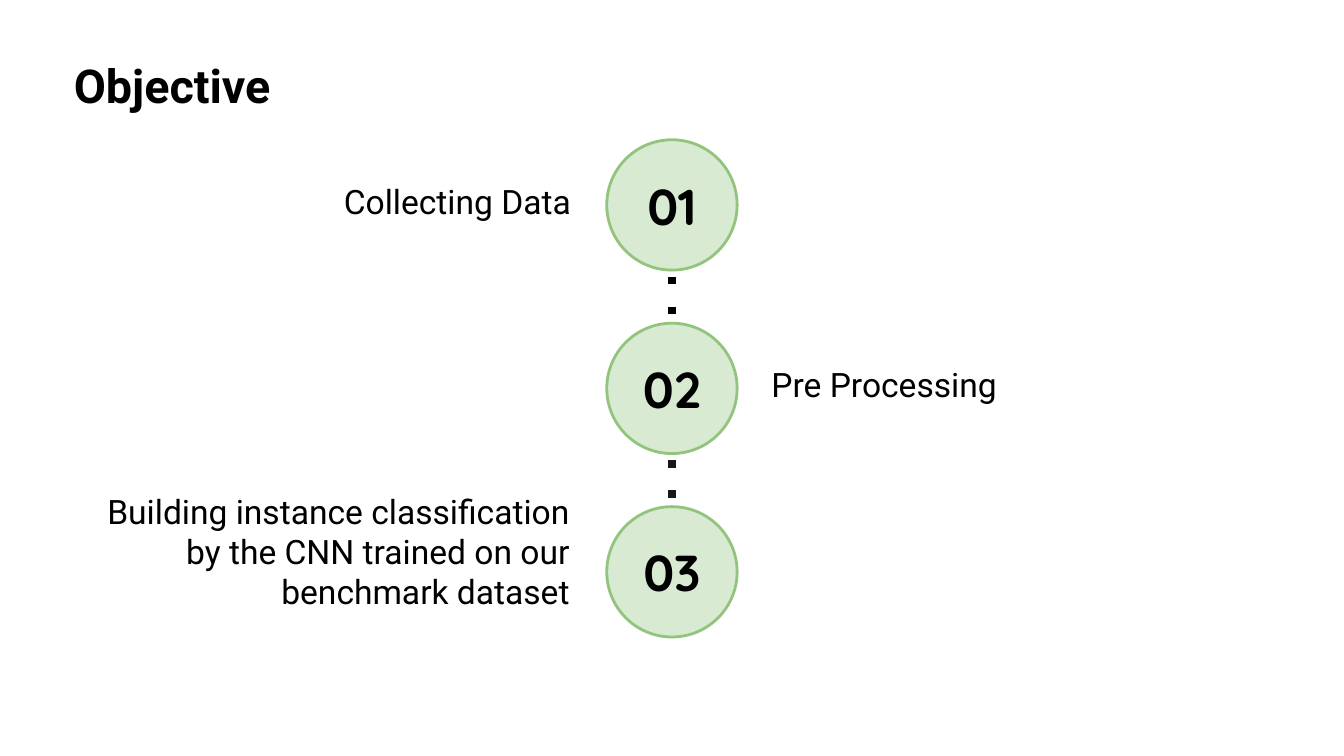
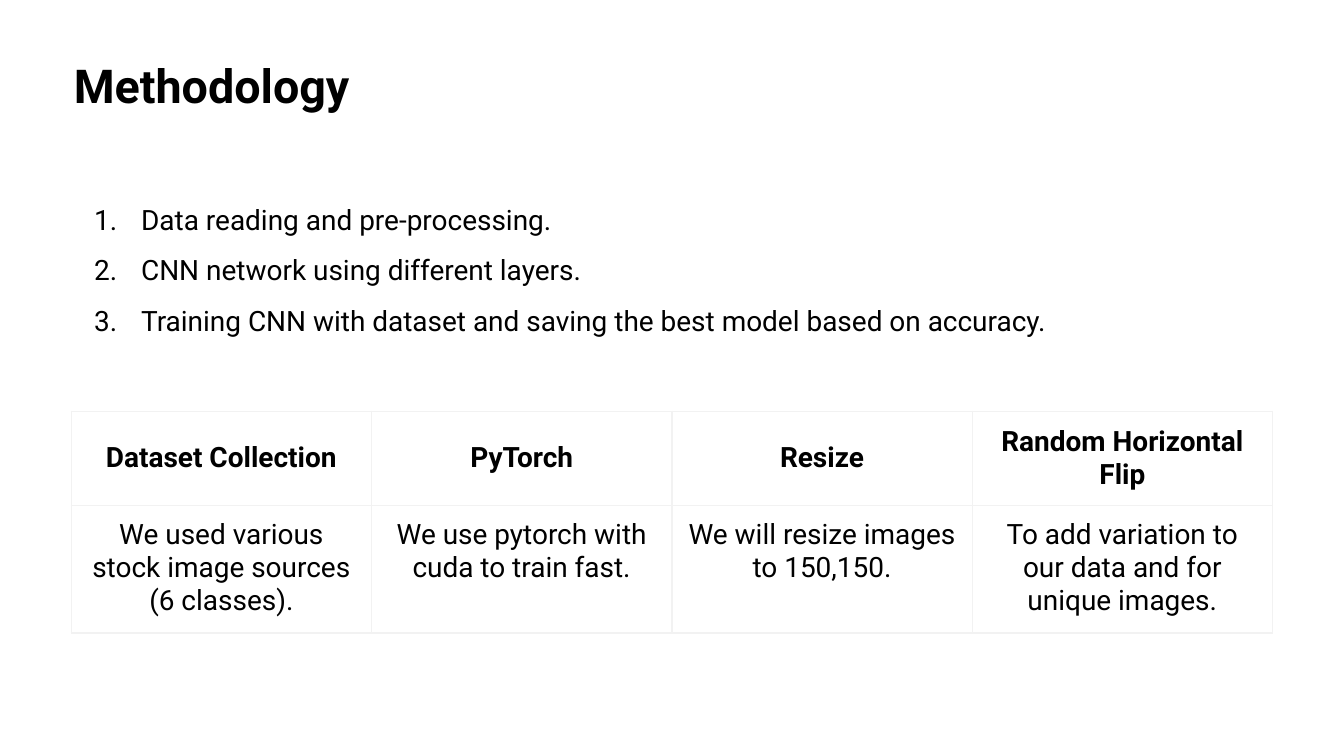
from dataclasses import dataclass

from lxml import etree
from pptx import Presentation
from pptx import util as u
from pptx.dml.color import RGBColor
from pptx.enum import dml, shapes, text
from pptx.oxml import ns


@dataclass(frozen=True)
class Theme:
    ink: str = "000000"
    soft_ink: str = "181818"
    circle_fill: str = "D9EAD3"
    circle_line: str = "93C47D"
    grid: str = "F2F2F2"
    body_font: str = "Roboto"
    number_font: str = "Quicksand"
    title_size: float = 25
    number_size: float = 27
    label_size: float = 18
    body_size: float = 15


THEME = Theme()
ALIGN = text.PP_ALIGN
ANCHOR = text.MSO_ANCHOR
SLIDE_WIDTH = 10
SLIDE_HEIGHT = SLIDE_WIDTH * 9 / 16

OBJECTIVES = [
    ("01", "Collecting Data", (2.16, 1.31, 2.16, 0.38), ALIGN.RIGHT),
    ("02", "Pre Processing", (5.67, 2.67, 2.16, 0.38), ALIGN.LEFT),
    ("03", "Building instance classification by the CNN trained on our benchmark dataset",
     (0.48, 3.61, 3.83, 1.29), ALIGN.RIGHT),
]
LINK_COLOURS = [THEME.ink, THEME.soft_ink]
STAGES = [
    "Data reading and pre-processing.",
    "CNN network using different layers.",
    "Training CNN with dataset and saving the best model based on accuracy.",
]
TECHNIQUES = [
    ("Dataset Collection", "We used various stock image sources (6 classes)."),
    ("PyTorch", "We use pytorch with cuda to train fast."),
    ("Resize", "We will resize images to 150,150."),
    ("Random Horizontal Flip", "To add variation to our data and for unique images."),
]


def colour(value):
    return RGBColor.from_string(value)


def inches(box):
    return [u.Inches(value) for value in box]


def add_child(parent, tag, **attributes):
    return etree.SubElement(parent, ns.qn(tag), attributes)


def write(frame, content, size, align=ALIGN.LEFT, bold=False, font=THEME.body_font):
    frame.text = content
    for paragraph in frame.paragraphs:
        paragraph.alignment = align
        for run in paragraph.runs:
            run.font.name = font
            run.font.size = u.Pt(size)
            run.font.bold = bold
            run.font.color.rgb = colour(THEME.ink)


def set_margins(frame, horizontal, vertical):
    frame.margin_left = frame.margin_right = u.Inches(horizontal)
    frame.margin_top = frame.margin_bottom = u.Inches(vertical)


def add_label(slide, box, content, size, **style):
    frame = slide.shapes.add_textbox(*inches(box)).text_frame
    frame.word_wrap = True
    set_margins(frame, 0.07, 0.04)
    write(frame, content, size, **style)
    return frame


def add_titled_slide(presentation, title):
    slide = presentation.slides.add_slide(presentation.slide_layouts[6])
    add_label(slide, (0.48, 0.38, 7.34, 0.5), title, THEME.title_size, bold=True)
    return slide


def add_dotted_link(slide, x, top, length, ink):
    connector = slide.shapes.add_connector(
        shapes.MSO_CONNECTOR.STRAIGHT, *inches((x, top, x, top + length)))
    connector.line.color.rgb = colour(ink)
    connector.line.width = u.Pt(4)
    connector.line.dash_style = dml.MSO_LINE.ROUND_DOT
    properties = connector._element.spPr
    properties.find(".//" + ns.qn("a:prstDash")).set("val", "dot")
    add_child(properties, "a:effectLst")


def add_number_circle(slide, box, number):
    circle = slide.shapes.add_shape(shapes.MSO_SHAPE.OVAL, *inches(box))
    circle.shadow.inherit = False
    circle.fill.solid()
    circle.fill.fore_color.rgb = colour(THEME.circle_fill)
    circle.line.color.rgb = colour(THEME.circle_line)
    circle.line.width = u.Pt(1.5)
    frame = circle.text_frame
    frame.vertical_anchor = ANCHOR.MIDDLE
    set_margins(frame, 0.1, 0.1)
    write(frame, number, THEME.number_size, ALIGN.CENTER, True, THEME.number_font)


def build_objective(presentation):
    slide = add_titled_slide(presentation, "Objective")
    centre, diameter, first_top, last_top = SLIDE_WIDTH / 2, 0.97, 1.04, 3.77
    pitch = (last_top - first_top) / (len(OBJECTIVES) - 1)
    for index, ink in enumerate(LINK_COLOURS):
        bottom = first_top + index * pitch + diameter
        add_dotted_link(slide, centre, bottom + 0.05, 0.3, ink)
    for index, (number, label, box, align) in enumerate(OBJECTIVES):
        add_label(slide, box, label, THEME.label_size, align=align)
        circle_box = (centre - diameter / 2, first_top + index * pitch, diameter, diameter)
        add_number_circle(slide, circle_box, number)


def number_paragraph(paragraph):
    paragraph.line_spacing = 1.5
    properties = paragraph._p.get_or_add_pPr()
    properties.set("marL", str(u.Inches(0.5)))
    properties.set("indent", str(u.Inches(-0.35)))
    add_child(add_child(properties, "a:buClr"), "a:srgbClr", val=THEME.ink)
    add_child(properties, "a:buFont", typeface=THEME.body_font)
    add_child(properties, "a:buAutoNum", type="arabicPeriod")


def add_borders(cell):
    properties = cell._tc.get_or_add_tcPr()
    for position, side in enumerate("LRTB"):
        line = add_child(properties, "a:ln" + side, w=str(u.Pt(0.75)))
        add_child(add_child(line, "a:solidFill"), "a:srgbClr", val=THEME.grid)
        properties.insert(position, line)


def build_methodology(presentation):
    slide = add_titled_slide(presentation, "Methodology")
    stages = add_label(slide, (0.48, 1.34, 8.99, 1.09), "\n".join(STAGES), THEME.body_size)
    for paragraph in stages.paragraphs:
        number_paragraph(paragraph)

    table_width, row_heights = 8.94, (0.7, 0.95)
    box = (0.53, 3.06, table_width, sum(row_heights))
    table = slide.shapes.add_table(len(row_heights), len(TECHNIQUES), *inches(box)).table
    table.first_row = table.horz_banding = False
    for row, height in zip(table.rows, row_heights):
        row.height = u.Inches(height)
    for column, technique in enumerate(TECHNIQUES):
        table.columns[column].width = u.Inches(table_width / len(TECHNIQUES))
        for row, content in enumerate(technique):
            cell = table.cell(row, column)
            heading = row == 0
            cell.fill.background()
            add_borders(cell)
            set_margins(cell, 0.1, 0.1)
            cell.vertical_anchor = ANCHOR.MIDDLE if heading else ANCHOR.TOP
            write(cell.text_frame, content, THEME.body_size, ALIGN.CENTER, heading)


def main():
    presentation = Presentation()
    presentation.slide_width, presentation.slide_height = inches((SLIDE_WIDTH, SLIDE_HEIGHT))
    build_objective(presentation)
    build_methodology(presentation)
    presentation.save("out.pptx")


if __name__ == "__main__":
    main()
